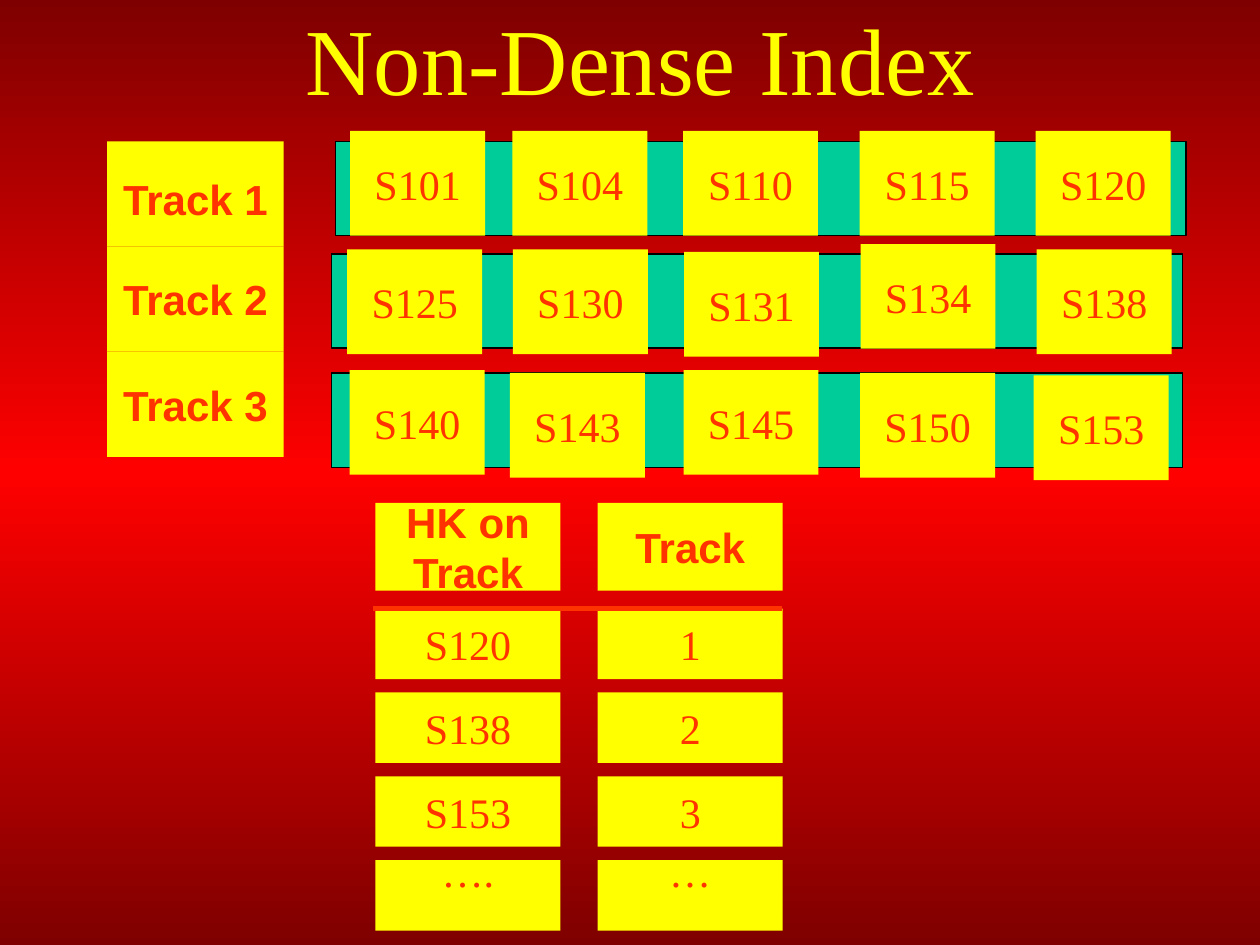
"""Build the Non-Dense Index slide."""
from copy import deepcopy

from lxml import etree
from pptx import Presentation
from pptx import util as u
from pptx.dml.color import RGBColor
from pptx.enum import shapes, text
from pptx.oxml import ns

YELLOW, RED, GREEN, BLACK = "FFFF00", "FF3300", "00CC99", "000000"
SERIF, SANS = "Times New Roman", "Arial"
BACKGROUND = [(0, "7F0000"), (0.5, "FF0000"), (1, "7F0000")]

TITLE = "Non-Dense Index"
TRACKS = [
    {"name": "Track 1", "bar": (6.76, 2.85), "records": [
        ("S101", 7.06, 2.64), ("S104", 10.33, 2.64), ("S110", 13.77, 2.64),
        ("S115", 17.33, 2.64), ("S120", 20.88, 2.64)]},
    {"name": "Track 2", "bar": (6.69, 5.12), "records": [
        ("S125", 7, 5.03), ("S130", 10.34, 5.03), ("S131", 13.79, 5.08),
        ("S134", 17.35, 4.92), ("S138", 20.9, 5.03)]},
    {"name": "Track 3", "bar": (6.69, 7.52), "records": [
        ("S140", 7.05, 7.46), ("S143", 10.28, 7.52), ("S145", 13.78, 7.46),
        ("S150", 17.34, 7.52), ("S153", 20.84, 7.57)]},
]
INDEX_HEAD = ["HK on Track", "Track"]
INDEX_ROWS = [("S120", "1"), ("S138", "2"), ("S153", "3"), ("….", "…")]

INDEX_LEFT, INDEX_PITCH, INDEX_WIDTH = 7.57, 4.48, 3.73
HEAD_TOP, HEAD_HEIGHT = 10.14, 1.77
ROW_TOP, ROW_PITCH, ROW_HEIGHT = 12.27, 1.69, 1.42
LABEL_LEFT, LABEL_TOP, LABEL_WIDTH, LABEL_HEIGHT = 2.16, 2.85, 3.56, 2.12
RECORD_WIDTH, RECORD_HEIGHT = 2.72, 2.11
BAR_WIDTH, BAR_HEIGHT = 17.15, 1.9


def rgb(color):
    return RGBColor.from_string(color)


def write(shape, words, size=24, font=SERIF, color=RED, bold=False,
          insets=(0.25, 0.13, 0.25, 0.13)):
    frame = shape.text_frame
    frame.word_wrap = True
    frame.vertical_anchor = text.MSO_ANCHOR.MIDDLE
    (frame.margin_left, frame.margin_top,
     frame.margin_right, frame.margin_bottom) = map(u.Cm, insets)
    paragraph = frame.paragraphs[0]
    paragraph.alignment = text.PP_ALIGN.CENTER
    run = paragraph.add_run()
    run.text = words
    run.font.size, run.font.name, run.font.bold = u.Pt(size), font, bold
    run.font.color.rgb = rgb(color)


def add_block(slide, left, top, width, height, fill=YELLOW, line=None):
    block = slide.shapes.add_shape(
        shapes.MSO_SHAPE.RECTANGLE, *map(u.Cm, (left, top, width, height)))
    block.shadow.inherit = False
    block.fill.solid()
    block.fill.fore_color.rgb = rgb(fill)
    if line:
        block.line.color.rgb = rgb(line)
        block.line.width = u.Pt(0.75)
    else:
        block.line.fill.background()
    return block


def paint_background(slide):
    fill = slide.background.fill
    fill.gradient()
    fill.gradient_angle = 90
    stops = slide.element.find(".//" + ns.qn("a:gsLst"))
    stops.append(deepcopy(stops[0]))
    for stop, (position, color) in zip(fill.gradient_stops, BACKGROUND):
        stop.position = position
        stop.color.rgb = rgb(color)


def add_index(slide):
    for column, heading in enumerate(INDEX_HEAD):
        left = INDEX_LEFT + column * INDEX_PITCH
        head = add_block(slide, left, HEAD_TOP, INDEX_WIDTH, HEAD_HEIGHT)
        write(head, heading, font=SANS, bold=True)
        for row, entries in enumerate(INDEX_ROWS):
            cell = add_block(slide, left, ROW_TOP + row * ROW_PITCH,
                             INDEX_WIDTH, ROW_HEIGHT)
            bottom = 1.12 if "…" in entries[column] else 0.13
            write(cell, entries[column], insets=(0.25, 0.13, 0.25, bottom))
    rule = slide.shapes.add_connector(
        shapes.MSO_CONNECTOR.STRAIGHT,
        *map(u.Cm, (7.52, ROW_TOP, 15.77, ROW_TOP)))
    rule.line.color.rgb = rgb(RED)
    rule.line.width = u.Pt(3)
    etree.SubElement(rule.element.spPr, ns.qn("a:effectLst"))


def add_tracks(slide):
    for track in reversed(TRACKS):
        add_block(slide, *track["bar"], BAR_WIDTH, BAR_HEIGHT, GREEN, BLACK)
    for row, track in enumerate(TRACKS):
        label = add_block(slide, LABEL_LEFT, LABEL_TOP + row * LABEL_HEIGHT,
                          LABEL_WIDTH, LABEL_HEIGHT)
        insets = (0.25, 0.13, 0.25, 0.13) if row else (0, 0.2, 0, 0)
        write(label, track["name"], font=SANS, bold=True, insets=insets)
        for key, left, top in track["records"]:
            write(add_block(slide, left, top, RECORD_WIDTH, RECORD_HEIGHT), key)


def main():
    deck = Presentation()
    deck.slide_width, deck.slide_height = u.Cm(25.4), u.Cm(19.05)
    slide = deck.slides.add_slide(deck.slide_layouts[6])
    paint_background(slide)
    title = slide.shapes.add_textbox(*map(u.Cm, (2.11, 0, 21.59, 2.34)))
    write(title, TITLE, size=54, color=YELLOW)
    add_index(slide)
    add_tracks(slide)
    deck.save("out.pptx")


if __name__ == "__main__":
    main()
